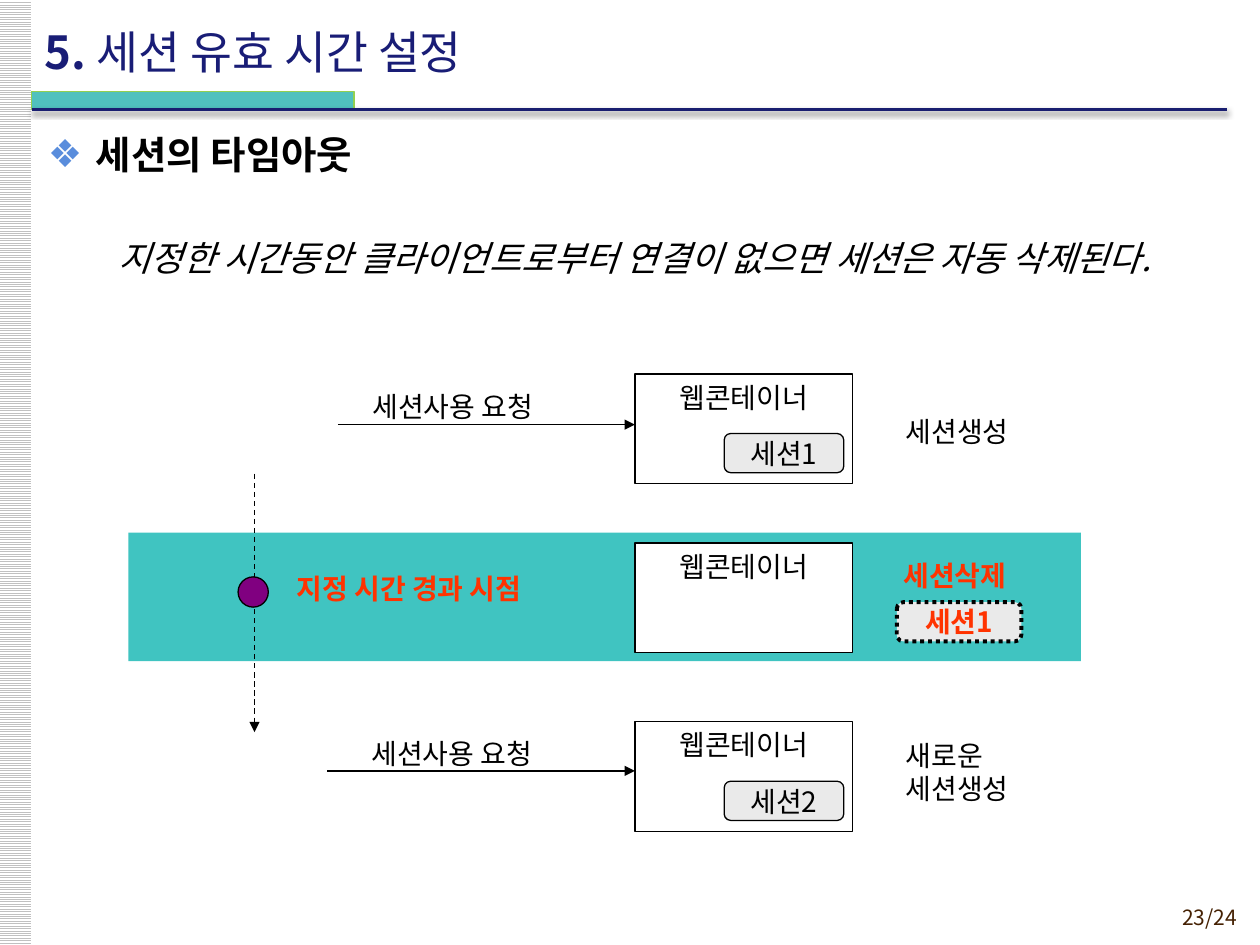
"""Builds the slide on session timeouts: heading, rule and a three-stage timeline."""
from lxml.etree import SubElement
from pptx import Presentation
from pptx.dml.color import RGBColor
from pptx.enum.dml import MSO_LINE, MSO_PATTERN
from pptx.enum.shapes import MSO_CONNECTOR, MSO_SHAPE
from pptx.enum.text import MSO_ANCHOR, MSO_AUTO_SIZE, PP_ALIGN
from pptx.oxml import parse_xml
from pptx.oxml.ns import nsdecls, qn
from pptx.util import Cm, Pt

COLORS = {name: RGBColor.from_string(value) for name, value in {
    "black": "000000", "white": "FFFFFF", "stripe": "C0C0C0", "accent": "50C1BE",
    "lime": "92D050", "rule": "191E70", "title": "191D76", "bullet": "5A8DDC",
    "band": "40C4C1", "session": "EAEAEA", "alert": "FF3300", "moment": "800080",
    "number": "452103"}.items()}
KOREAN = "Noto Sans CJK KR"
NORMAL = {"size": Pt(16), "name": KOREAN}
ALERT = {**NORMAL, "bold": True}


def write(shape, lines, style, color="black", align=PP_ALIGN.CENTER,
          anchor=MSO_ANCHOR.TOP, wrap=False):
    """Fills a shape with paragraphs, each a list of (text, extra style) spans."""
    frame = shape.text_frame
    frame.auto_size = MSO_AUTO_SIZE.NONE
    frame.word_wrap = wrap
    frame.vertical_anchor = anchor
    for index, line in enumerate(lines):
        para = frame.add_paragraph() if index else frame.paragraphs[0]
        para.alignment = align
        for text, extra in line:
            span = para.add_run()
            span.text = text
            for key, value in {**style, **extra}.items():
                setattr(span.font, key, value)
            span.font.color.rgb = COLORS[color]
            span.font._element.find(qn("a:latin")).addnext(
                parse_xml(f'<a:ea {nsdecls("a")} typeface="{KOREAN}"/>'))


def draw(kind, place, fill, line=None, width=0.75):
    """Adds a flat preset shape at a place given in centimetres."""
    shape = page.shapes.add_shape(kind, *map(Cm, place))
    shape.shadow.inherit = False
    shape.fill.solid()
    shape.fill.fore_color.rgb = COLORS[fill]
    if line:
        shape.line.color.rgb = COLORS[line]
        shape.line.width = Pt(width)
    else:
        shape.line.fill.background()
    return shape


deck = Presentation()
deck.slide_width, deck.slide_height = Cm(25.4), Cm(19.05)
page = deck.slides.add_slide(deck.slide_layouts[1])
title, body = page.placeholders
for holder, place in ((title, (0.64, 0.23, 21, 1.6)), (body, (0.71, 2.51, 24.13, 15.88))):
    holder.left, holder.top, holder.width, holder.height = map(Cm, place)

write(title, [[("5. ", {"bold": True}), ("세션 유효 시간 설정", {"bold": False})]],
      {"size": Pt(26), "name": KOREAN}, "title", PP_ALIGN.LEFT, MSO_ANCHOR.MIDDLE, True)

para = body.text_frame.paragraphs[0]
properties = para._p.get_or_add_pPr()
properties.set("marL", str(Cm(0.97)))
properties.set("indent", str(-Cm(0.97)))
bullet_color = SubElement(properties, qn("a:buClr"))
SubElement(bullet_color, qn("a:srgbClr")).set("val", str(COLORS["bullet"]))
SubElement(properties, qn("a:buChar")).set("char", "❖")
para.space_before, para.space_after = Pt(0), Pt(1)
write(body, [[("세션의 타임아웃", {})]], {"size": Pt(22), "name": "Arial", "bold": True},
      align=PP_ALIGN.LEFT, wrap=True)

strip = draw(MSO_SHAPE.RECTANGLE, (-0.03, 0, 0.66, 19.05), "white")
strip.fill.patterned()
strip.fill.pattern = MSO_PATTERN.LIGHT_HORIZONTAL
strip.fill.fore_color.rgb = COLORS["stripe"]
strip.fill.back_color.rgb = COLORS["white"]
draw(MSO_SHAPE.RECTANGLE, (0.64, 1.85, 6.5, 0.36), "accent", "lime")
draw(MSO_SHAPE.RECTANGLE, (2.59, 10.74, 19.2, 2.59), "band")

for top, session in ((7.54, "세션1"), (10.95, None), (14.55, "세션2")):
    container = draw(MSO_SHAPE.RECTANGLE, (12.8, top, 4.39, 2.21), "white", "black")
    write(container, [[("웹콘테이너", {})]], NORMAL)
    if session:
        box = draw(MSO_SHAPE.ROUNDED_RECTANGLE, (14.6, top + 1.2, 2.41, 0.79),
                   "session", "black")
        write(box, [[(session, {})]], NORMAL, anchor=MSO_ANCHOR.MIDDLE)

deleted = draw(MSO_SHAPE.ROUNDED_RECTANGLE, (18.08, 12.14, 2.51, 0.79),
               "session", "black", 2.25)
deleted.line.dash_style = MSO_LINE.ROUND_DOT
write(deleted, [[("세션1", {})]], ALERT, "alert", anchor=MSO_ANCHOR.MIDDLE)

for ends, color, width, dash, arrow in (
        ((0.64, 2.21, 24.74, 2.21), "rule", 2, None, False),
        ((6.81, 8.56, 12.8, 8.56), "black", 0.75, None, True),
        ((6.6, 15.54, 12.8, 15.54), "black", 0.75, None, True),
        ((5.13, 9.55, 5.13, 14.76), "black", 0.75, MSO_LINE.DASH, True)):
    connector = page.shapes.add_connector(MSO_CONNECTOR.STRAIGHT, *map(Cm, ends))
    connector.line.color.rgb = COLORS[color]
    connector.line.width = Pt(width)
    if dash:
        connector.line.dash_style = dash
    if arrow:
        SubElement(connector.line._get_or_add_ln(), qn("a:tailEnd")).set("type", "triangle")
    effects = SubElement(connector._element.spPr, qn("a:effectLst"))
    if not arrow:
        effects.append(parse_xml(
            f'<a:outerShdw {nsdecls("a")} blurRad="{Pt(3.1)}" dist="{Pt(1.6)}" dir="5400000"'
            ' rotWithShape="0"><a:srgbClr val="000000"><a:alpha val="38000"/></a:srgbClr>'
            '</a:outerShdw>'))

draw(MSO_SHAPE.OVAL, (4.8, 11.63, 0.61, 0.61), "moment", "black")

for place, lines, style, color, align, wrap in (
        ((0.1, 4.65, 25.4, 1.09),
         ["지정한 시간동안 클라이언트로부터 연결이 없으면 세션은 자동 삭제된다."],
         {"size": Pt(20), "name": KOREAN, "italic": True}, "black", PP_ALIGN.CENTER, True),
        ((5.49, 11.4, 5.51, 0.94), ["지정 시간 경과 시점"], ALERT, "alert",
         PP_ALIGN.CENTER, False),
        ((17.88, 11.13, 2.74, 0.94), ["세션삭제"], ALERT, "alert", PP_ALIGN.CENTER, False),
        ((7.08, 7.72, 4.09, 0.94), ["세션사용 요청"], NORMAL, "black", PP_ALIGN.CENTER, False),
        ((7.06, 14.73, 4.09, 0.94), ["세션사용 요청"], NORMAL, "black", PP_ALIGN.CENTER, False),
        ((18.01, 8.23, 2.77, 0.94), ["세션생성"], NORMAL, "black", PP_ALIGN.LEFT, False),
        ((18.01, 14.76, 2.77, 1.63), ["새로운", "세션생성"], NORMAL, "black",
         PP_ALIGN.LEFT, False),
        ((22.5, 18.11, 2.69, 0.74), ["23/24"], {"size": Pt(12), "name": KOREAN}, "number",
         PP_ALIGN.RIGHT, True)):
    label = page.shapes.add_textbox(*map(Cm, place))
    write(label, [[(line, {})] for line in lines], style, color, align, wrap=wrap)

deck.save("out.pptx")
